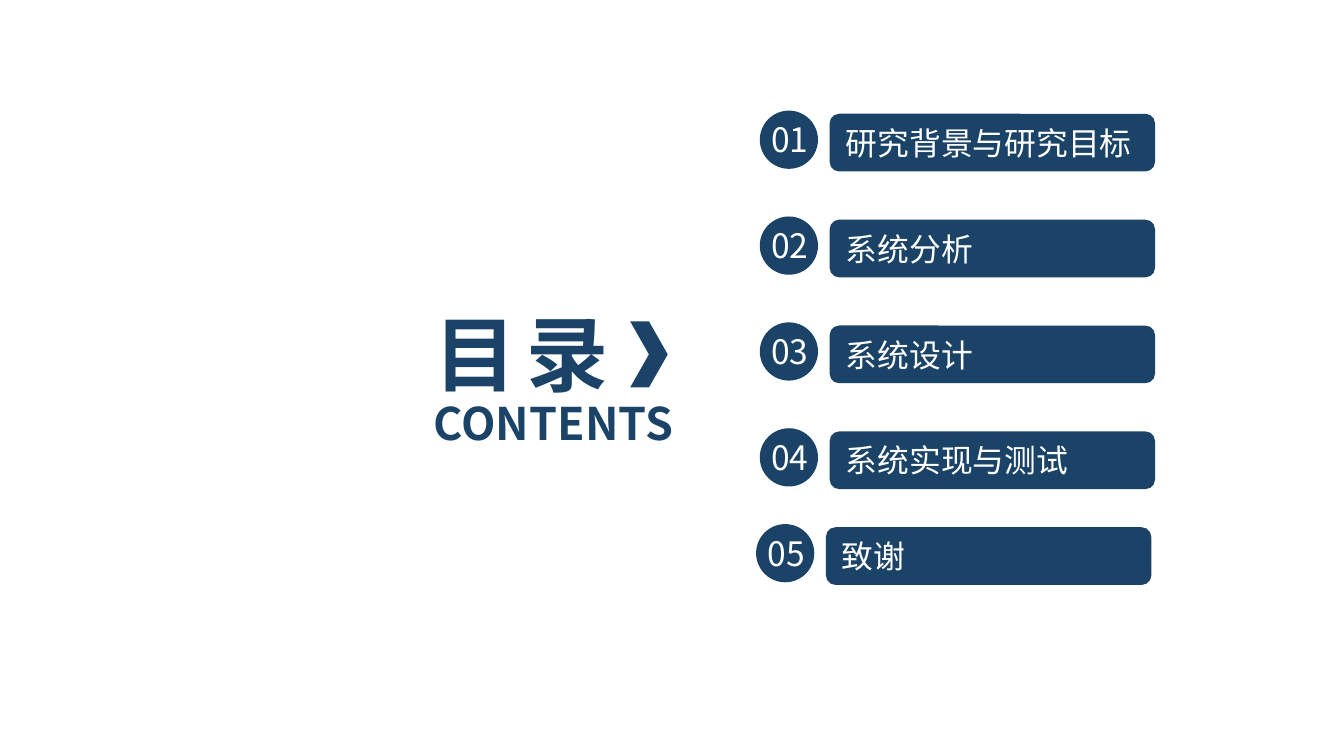
"""Build a contents slide with a heading and five numbered entries."""
from dataclasses import dataclass

from pptx import Presentation
from pptx.dml.color import RGBColor
from pptx.enum import shapes, text
from pptx.oxml.ns import qn
from pptx.util import Cm, Pt

COLORS = {"navy": "1B4367", "white": "FFFFFF"}
FONT = "Noto Sans CJK SC"
SHAPE = shapes.MSO_SHAPE


@dataclass
class Box:
    """Position and size in centimetres."""
    x: float
    y: float
    w: float
    h: float

    def emu(self) -> tuple:
        return Cm(self.x), Cm(self.y), Cm(self.w), Cm(self.h)


@dataclass
class Entry:
    """A numbered contents entry, placed by the corner of its bar."""
    number: str
    name: str
    x: float
    y: float


def add_filled(parent, kind, box: Box):
    sp = parent.add_shape(kind, *box.emu())
    sp.shadow.inherit = False
    sp.fill.solid()
    sp.fill.fore_color.rgb = RGBColor.from_string(COLORS["navy"])
    sp.line.fill.background()
    return sp


def write(sp, content: str, size: float, color: str, bold: bool = False,
          align=text.PP_ALIGN.LEFT, spacing: float = 0) -> None:
    tf = sp.text_frame
    tf.word_wrap = True
    tf.auto_size = text.MSO_AUTO_SIZE.NONE
    tf.vertical_anchor = text.MSO_ANCHOR.MIDDLE
    p = tf.paragraphs[0]
    p.alignment = align
    r = p.add_run()
    r.text = content
    r.font.size = Pt(size)
    r.font.bold = bold
    r.font.name = FONT
    r.font.color.rgb = RGBColor.from_string(COLORS[color])
    rpr = r.font._element
    rpr.find(qn("a:latin")).addnext(rpr.makeelement(qn("a:ea"), {"typeface": FONT}))
    if spacing:
        rpr.set("spc", str(round(spacing * 100)))


def add_entry(s, entry: Entry) -> None:
    bar = add_filled(s.shapes, SHAPE.ROUNDED_RECTANGLE, Box(entry.x, entry.y, 6.15, 1.09))
    write(bar, entry.name, 17, "white")
    badge = s.shapes.add_group_shape().shapes
    add_filled(badge, SHAPE.OVAL, Box(entry.x - 1.32, entry.y - 0.06, 1.1, 1.1))
    label = badge.add_textbox(*Box(entry.x - 1.41, entry.y - 0.03, 1.32, 1.02).emu())
    write(label, entry.number, 18, "white", align=text.PP_ALIGN.CENTER)


def add_heading(s) -> None:
    title = s.shapes.title
    title.left, title.top, title.width, title.height = Box(7.95, 5.59, 5.97, 2.13).emu()
    write(title, "目 录", 44, "navy", bold=True, spacing=-2.2)
    subtitle = s.shapes.add_textbox(*Box(7.95, 7.34, 5.87, 1.27).emu())
    write(subtitle, "CONTENTS", 24, "navy", bold=True)
    add_filled(s.shapes, SHAPE.CHEVRON, Box(11.91, 6.07, 0.71, 1.25))


def main() -> None:
    prs = Presentation()
    prs.slide_width, prs.slide_height = Cm(25.4), Cm(14.28)
    s = prs.slides.add_slide(prs.slide_layouts[5])
    add_heading(s)
    names = ["研究背景与研究目标", "系统分析", "系统设计", "系统实现与测试"]
    entries = [Entry(f"{i + 1:02}", name, 15.68, 2.15 + 2 * i) for i, name in enumerate(names)]
    entries.append(Entry("05", "致谢", 15.61, 9.96))
    for entry in entries:
        add_entry(s, entry)
    prs.save("out.pptx")


if __name__ == "__main__":
    main()
